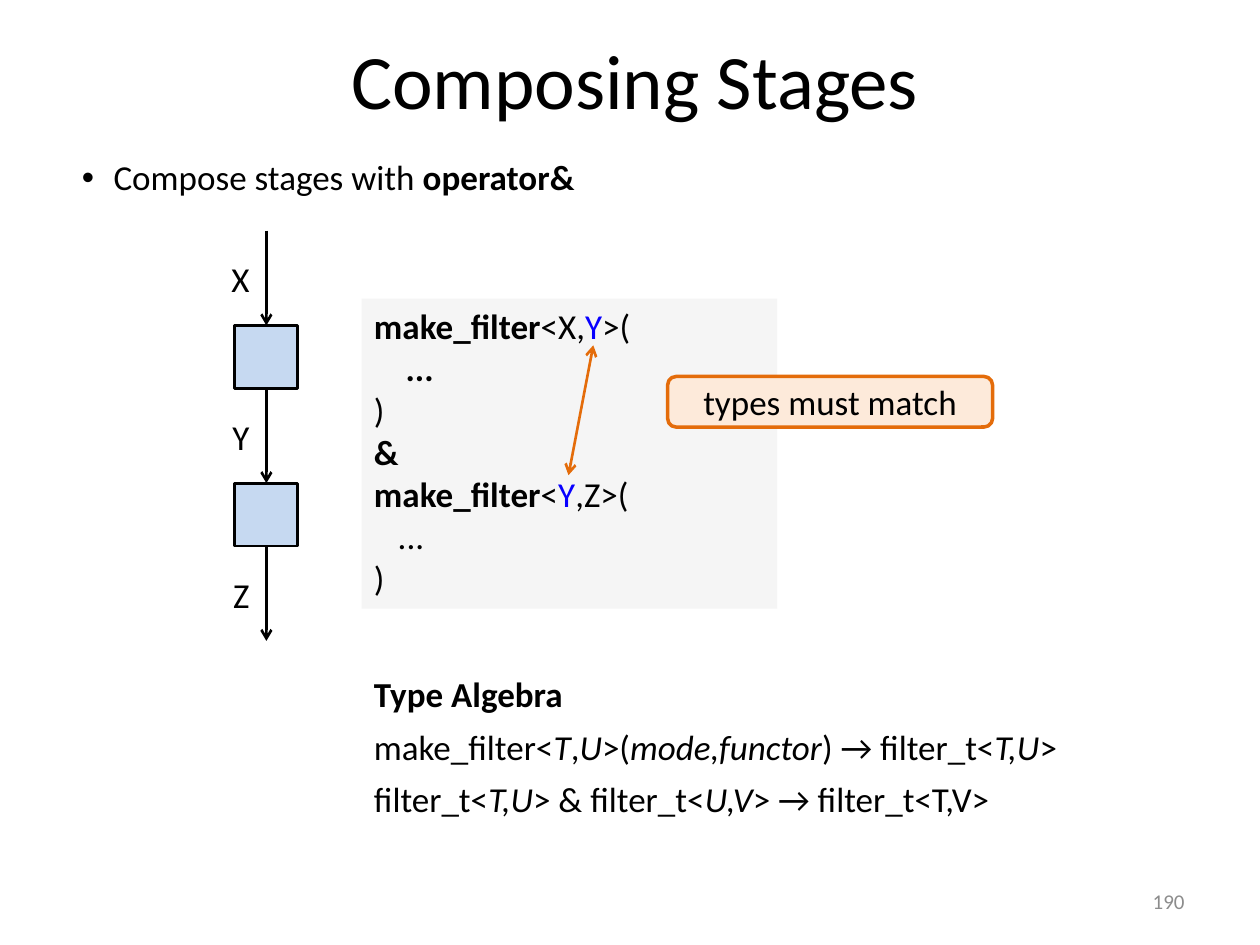
from lxml.etree import SubElement
from pptx import Presentation
from pptx.dml.color import RGBColor
from pptx.enum.shapes import MSO_CONNECTOR, MSO_SHAPE
from pptx.enum.text import MSO_ANCHOR, PP_ALIGN
from pptx.oxml.ns import qn
from pptx.util import Cm, Pt

FONT = "Calibri"
COLORS = {
    "text": "000000",
    "type": "0800FF",
    "number": "8C8C8C",
    "code": "F2F2F2",
    "stage": "C6D9F1",
    "callout": "FDEADA",
    "accent": "E46C0A",
}


def rgb(name):
    return RGBColor.from_string(COLORS[name])


def add_run(paragraph, text, style="", size=20, color="text"):
    """Add a run; style holds 'b' for bold and 'i' for italic."""
    run = paragraph.add_run()
    run.text = text
    font = run.font
    font.name, font.size = FONT, Pt(size)
    font.bold, font.italic = "b" in style, "i" in style
    font.color.rgb = rgb(color)


def write_lines(frame, lines, align=PP_ALIGN.LEFT, gap=0, **options):
    """Write one paragraph per line, each line a list of (text, style[, color])."""
    for index, line in enumerate(lines):
        paragraph = frame.add_paragraph() if index else frame.paragraphs[0]
        paragraph.alignment = align
        if index and gap:
            paragraph.space_before = Pt(gap)
        for text, style, *color in line:
            add_run(paragraph, text, style, **({"color": color[0]} if color else {}), **options)


def add_text(slide, box, lines, anchor=MSO_ANCHOR.TOP, **options):
    shape = slide.shapes.add_textbox(*map(Cm, box))
    shape.text_frame.word_wrap = True
    shape.text_frame.vertical_anchor = anchor
    write_lines(shape.text_frame, lines, **options)
    return shape


def add_box(slide, kind, box, fill, line=None, width=1.6):
    shape = slide.shapes.add_shape(kind, *map(Cm, box))
    shape.shadow.inherit = False
    shape.fill.solid()
    shape.fill.fore_color.rgb = rgb(fill)
    if line:
        shape.line.color.rgb = rgb(line)
        shape.line.width = Pt(width)
    else:
        shape.line.fill.background()
    return shape


def add_arrow(slide, start, end, color="text", both=False):
    arrow = slide.shapes.add_connector(MSO_CONNECTOR.STRAIGHT, *map(Cm, start + end))
    arrow.line.color.rgb = rgb(color)
    arrow.line.width = Pt(1.5)
    line = arrow.line._get_or_add_ln()
    for tag in ("a:headEnd", "a:tailEnd") if both else ("a:tailEnd",):
        SubElement(line, qn(tag), type="arrow")
    SubElement(arrow._element.spPr, qn("a:effectLst"))
    return arrow


def set_title(slide, text):
    title = slide.shapes.title
    title.left, title.top, title.width, title.height = Cm(1.37), Cm(0), Cm(22.86), Cm(3.18)
    title.text_frame.vertical_anchor = MSO_ANCHOR.MIDDLE
    write_lines(title.text_frame, [[(text, "")]], align=PP_ALIGN.CENTER, size=44)


def add_bullet(slide):
    shape = add_text(slide, (1.4, 3.02, 15.93, 5.54),
                     [[("Compose stages with ", ""), ("operator&", "b")]])
    properties = shape.text_frame.paragraphs[0]._p.get_or_add_pPr()
    properties.set("marL", str(Cm(0.64)))
    properties.set("indent", str(-Cm(0.64)))
    SubElement(properties, qn("a:buFont"), typeface="Arial")
    SubElement(properties, qn("a:buChar"), char="•")


def add_pipeline(slide):
    """Two stages, with a typed arrow before, between and after them."""
    center, top, side, length = 5.37, 4.65, 1.27, 1.91
    step = side + length
    stages = [
        add_box(slide, MSO_SHAPE.RECTANGLE,
                (center - side / 2, top + length + index * step, side, side), "stage", "text")
        for index in range(2)
    ]
    for index, label in enumerate("XYZ"):
        start = top + index * step
        arrow = add_arrow(slide, (center, start), (center, start + length))
        if index > 0:
            arrow.begin_connect(stages[index - 1], 2)
        if index < len(stages):
            arrow.end_connect(stages[index], 0)
        add_text(slide, (4.19, start + 0.42, 1.09, 1.11), [[(label, "")]], align=PP_ALIGN.RIGHT)


def add_code(slide):
    panel = add_box(slide, MSO_SHAPE.RECTANGLE, (7.29, 6.02, 8.38, 6.25), "code")
    color = panel.fill._xPr.find(qn("a:solidFill"))[0]
    SubElement(color, qn("a:alpha"), val="75000")
    panel.text_frame.vertical_anchor = MSO_ANCHOR.TOP
    write_lines(panel.text_frame, [
        [("make_filter", "b"), ("<X,", ""), ("Y", "", "type"), (">(", "")],
        [("    ...", "b")],
        [(")", "")],
        [("&", "b")],
        [("make_filter", "b"), ("<", ""), ("Y", "", "type"), (",Z>(", "")],
        [("   ...", "")],
        [(")", "")],
    ])


def add_callout(slide):
    callout = add_box(slide, MSO_SHAPE.ROUNDED_RECTANGLE, (13.46, 7.59, 6.55, 1.02),
                      "callout", "accent", 2)
    callout.text_frame.vertical_anchor = MSO_ANCHOR.MIDDLE
    write_lines(callout.text_frame, [[("types must match", "")]], align=PP_ALIGN.CENTER)
    add_arrow(slide, (11.96, 6.96), (11.46, 9.58), "accent", both=True)


def add_algebra(slide):
    add_text(slide, (7.29, 13.44, 16.94, 3.25), [
        [("Type Algebra", "b")],
        [("make_filter<", ""), ("T", "i"), (",", ""), ("U", "i"), (">(", ""),
         ("mode,functor", "i"), (") → filter_t<", ""), ("T,U", "i"), (">", "")],
        [("filter_t<", ""), ("T,U", "i"), ("> & filter_t<", ""), ("U,V", "i"),
         ("> → filter_t<T,V>", "")],
    ], gap=6)


def main():
    presentation = Presentation()
    presentation.slide_width, presentation.slide_height = Cm(25.4), Cm(19.05)
    slide = presentation.slides.add_slide(presentation.slide_layouts[5])

    # Heading
    set_title(slide, "Composing Stages")
    add_bullet(slide)

    # Pipeline and the code that builds it
    add_pipeline(slide)
    add_code(slide)
    add_callout(slide)

    # Type rules and slide number
    add_algebra(slide)
    add_text(slide, (18.21, 17.65, 5.92, 1.02), [[("190", "", "number")]],
             anchor=MSO_ANCHOR.MIDDLE, align=PP_ALIGN.RIGHT, size=12)

    presentation.save("out.pptx")


if __name__ == "__main__":
    main()
